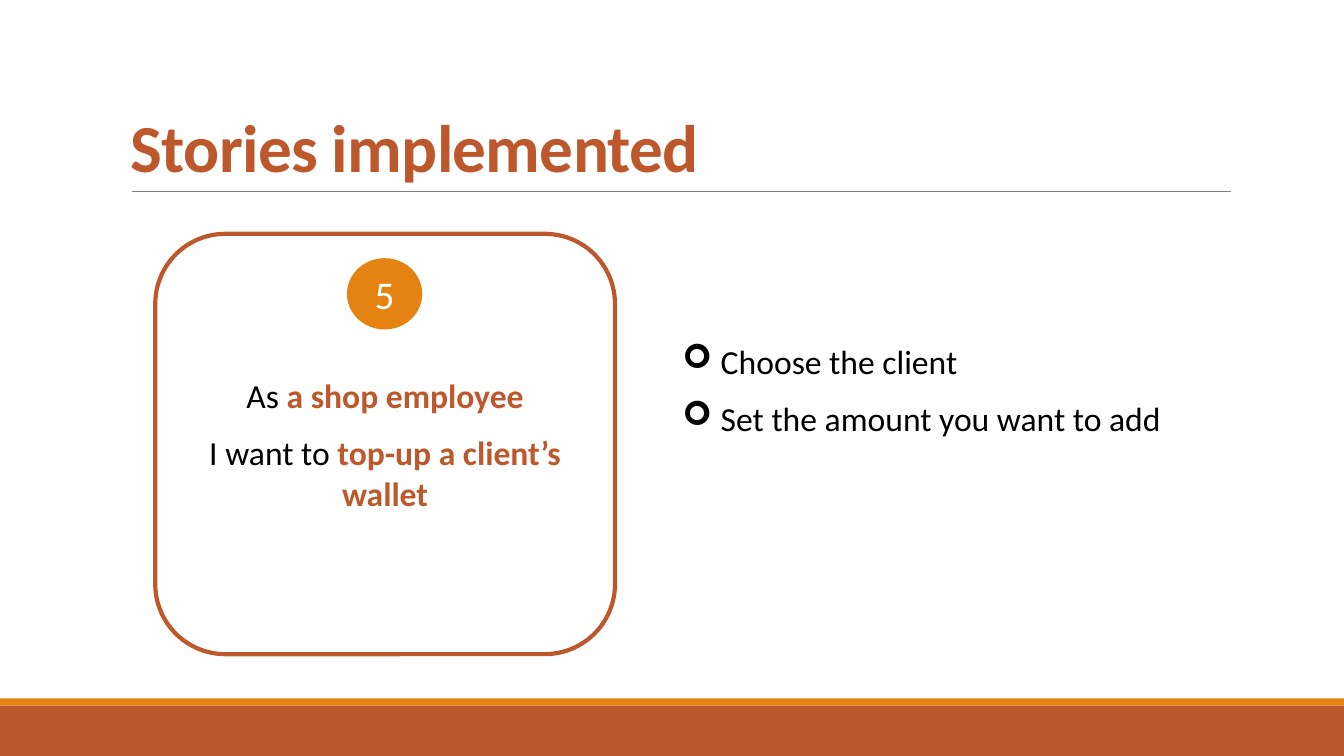
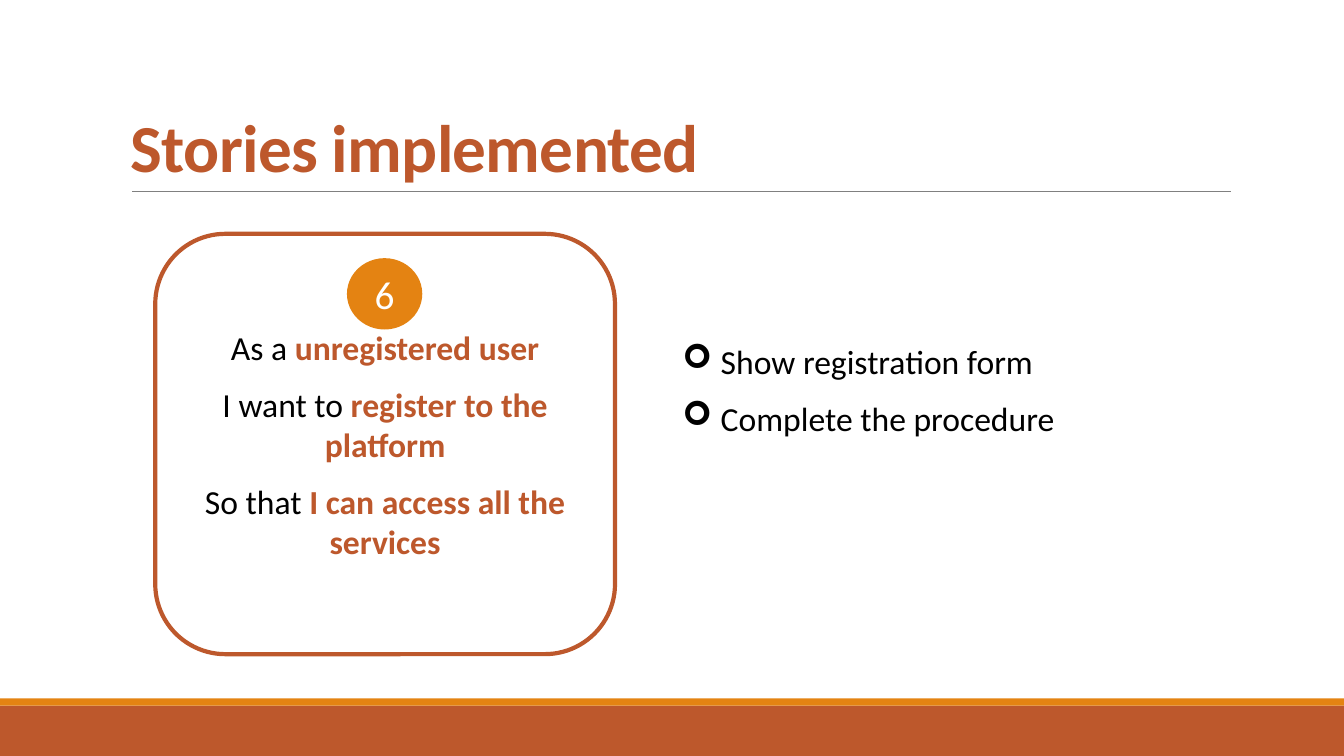
from lxml import etree
from pptx import Presentation
from pptx.dml.color import RGBColor
from pptx.enum.shapes import MSO_CONNECTOR, MSO_SHAPE
from pptx.enum.text import MSO_ANCHOR, PP_ALIGN
from pptx.oxml.ns import qn
from pptx.util import Inches, Pt

COLORS = {"rust": "BD582C", "orange": "E48312", "gray": "808080",
          "white": "FFFFFF", "black": "000000"}
FONT = "Calibri"
TITLE = "Stories implemented"

STORIES = [
    {"number": "5",
     "story": [("As ", "a shop employee"),
               ("I want to ", "top-up a client’s wallet")],
     "steps": ["Choose the client", "Set the amount you want to add"]},
    {"number": "6",
     "story": [("As a ", "unregistered user"),
               ("I want to ", "register to the platform"),
               ("So that ", "I can access all the services")],
     "steps": ["Show registration form", "Complete the procedure"]},
]


def add_box(s, kind, left, top, width, height, fill, line=None, weight=0):
    sp = s.shapes.add_shape(kind, Inches(left), Inches(top), Inches(width), Inches(height))
    sp.shadow.inherit = False
    sp.fill.solid()
    sp.fill.fore_color.rgb = RGBColor.from_string(COLORS[fill])
    if line:
        sp.line.color.rgb = RGBColor.from_string(COLORS[line])
        sp.line.width = Pt(weight)
    else:
        sp.line.fill.background()
    sp.text_frame.word_wrap = True
    sp.text_frame.vertical_anchor = MSO_ANCHOR.MIDDLE
    return sp


def add_run(p, text, size, color, bold=False):
    r = p.add_run()
    r.text = text
    r.font.name = FONT
    r.font.size = Pt(size)
    r.font.bold = bold
    r.font.color.rgb = RGBColor.from_string(COLORS[color])
    return r


prs = Presentation()
prs.slide_width = Inches(13.33)
prs.slide_height = Inches(7.5)

for item in STORIES:
    s = prs.slides.add_slide(prs.slide_layouts[6])

    add_box(s, MSO_SHAPE.RECTANGLE, 0, 7, 13.33, 0.5, "rust")
    add_box(s, MSO_SHAPE.RECTANGLE, 0, 6.93, 13.33, 0.07, "orange")
    rule = s.shapes.add_connector(MSO_CONNECTOR.STRAIGHT, Inches(1.31), Inches(1.9),
                                  Inches(12.21), Inches(1.9))
    rule.line.color.rgb = RGBColor.from_string(COLORS["gray"])
    rule.line.width = Pt(0.5)
    etree.SubElement(rule._element.spPr, qn("a:effectLst"))

    title = s.shapes.add_textbox(Inches(1.2), Inches(0.31), Inches(11), Inches(1.59))
    tf = title.text_frame
    tf.word_wrap = True
    tf.vertical_anchor = MSO_ANCHOR.BOTTOM
    p = tf.paragraphs[0]
    p.line_spacing = 0.85
    r = add_run(p, TITLE, 48, "rust", True)
    r.font._element.set("spc", "-50")

    steps = s.shapes.add_textbox(Inches(6.67), Inches(3.33), Inches(5.48), Inches(1.08))
    tf = steps.text_frame
    tf.word_wrap = True
    for i, step in enumerate(item["steps"]):
        p = tf.add_paragraph() if i else tf.paragraphs[0]
        p.space_after = Pt(12)
        pPr = p._p.get_or_add_pPr()
        pPr.set("marL", str(Inches(0.38)))
        pPr.set("indent", str(-Inches(0.38)))
        etree.SubElement(pPr, qn("a:buFont")).set("typeface", "Wingdings")
        etree.SubElement(pPr, qn("a:buChar")).set("char", "➢")
        add_run(p, step, 24, "black")

    card = add_box(s, MSO_SHAPE.ROUNDED_RECTANGLE, 1.54, 2.32, 4.56, 4.17,
                   "white", "rust", 3)
    tf = card.text_frame
    for i, (lead, goal) in enumerate(item["story"]):
        p = tf.add_paragraph() if i else tf.paragraphs[0]
        p.alignment = PP_ALIGN.CENTER
        p.space_after = Pt(12)
        add_run(p, lead, 24, "black")
        add_run(p, goal, 24, "rust", True)

    badge = add_box(s, MSO_SHAPE.OVAL, 3.45, 2.57, 0.73, 0.69, "orange", "orange", 1.25)
    p = badge.text_frame.paragraphs[0]
    p.alignment = PP_ALIGN.CENTER
    add_run(p, item["number"], 28, "white")

prs.save("out.pptx")
